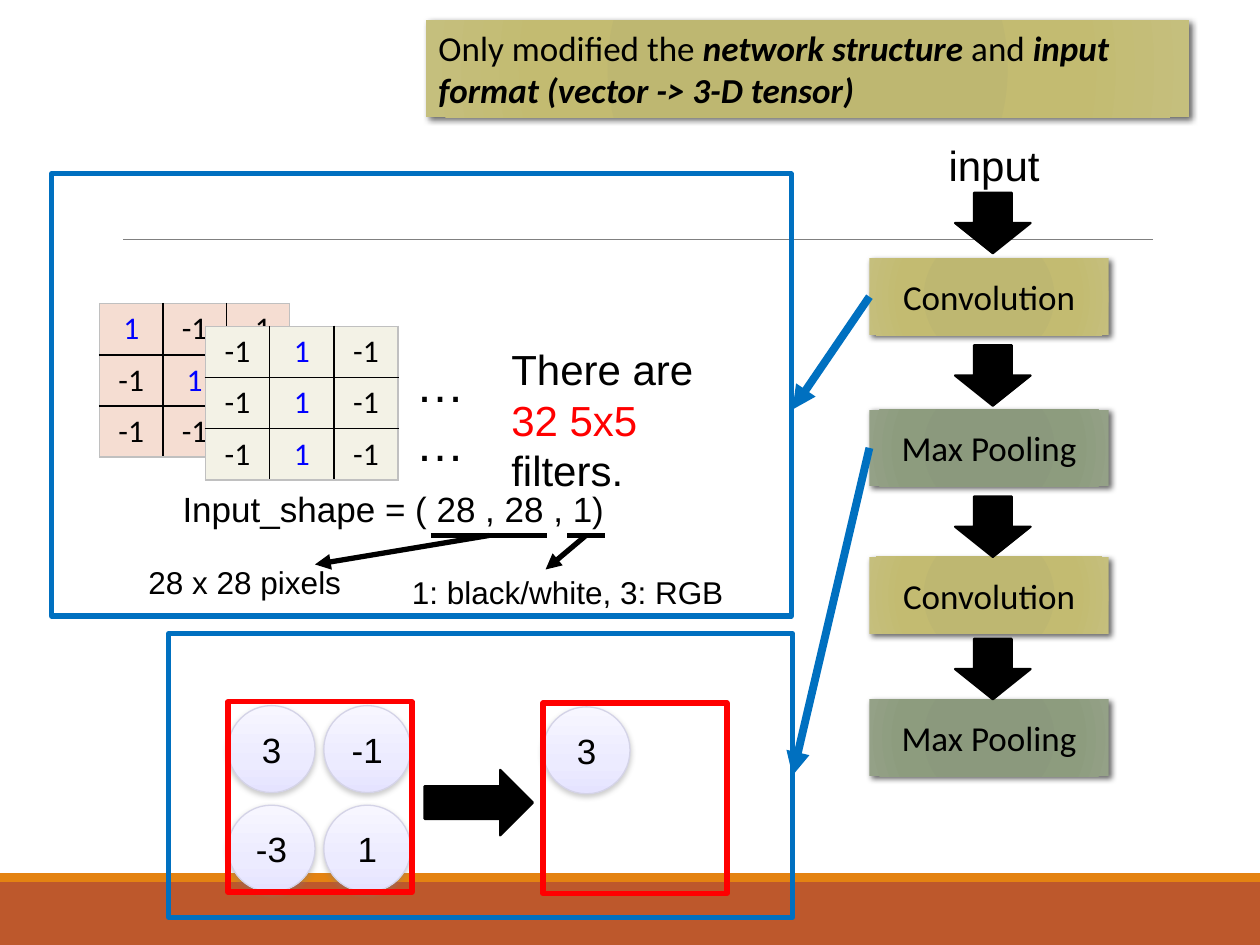
from dataclasses import dataclass
from lxml.etree import SubElement
from pptx import Presentation
from pptx.dml.color import RGBColor
from pptx.enum.shapes import MSO_CONNECTOR, MSO_SHAPE
from pptx.enum.text import MSO_ANCHOR, MSO_AUTO_SIZE, PP_ALIGN
from pptx.oxml.ns import qn
from pptx.util import Inches, Pt


@dataclass(frozen=True)
class Theme:
    black: str = "000000"
    blue: str = "0070C0"
    digit: str = "0000FF"
    red: str = "FF0000"
    rule: str = "808080"
    edge: str = "C0C0C0"
    band: str = "BD582C"
    stripe: str = "E48312"
    pink: str = "F5DDD2"
    cream: str = "F3F2E6"
    ball_edge: str = "D4D3E7"
    olive: tuple = ((0, "BEB76E"), (34, "BEB771"), (70, "C3BB71"), (100, "C5BF7D"))
    sage: tuple = ((0, "8A987B"), (34, "8B997D"), (70, "8D9C7E"), (100, "94A187"))
    lilac: tuple = ((0, "F7F6FF"), (65, "ECEBFF"), (100, "E5E3FF"))
    head: str = "Calibri"
    body: str = "Arial"
    small: int = 18
    mid: int = 20
    large: int = 24
    dots: int = 28


T = Theme()
COLS, ROWS = 100, 75
prs = Presentation()
prs.slide_width, prs.slide_height = Inches(10), Inches(7.5)
COL, ROW = prs.slide_width / COLS, prs.slide_height / ROWS


def grid(x, y, w, h):
    return int(x * COL), int(y * ROW), int(w * COL), int(h * ROW)


def child(parent, tag, **attrs):
    return SubElement(parent, qn(tag), {k: str(v) for k, v in attrs.items()})


def rgb(color):
    return RGBColor.from_string(color)


def write(tf, *runs, size=T.mid, font=T.body, align=PP_ALIGN.LEFT, anchor=MSO_ANCHOR.TOP):
    """Each run is a text or a (text, format) pair."""
    tf.word_wrap, tf.vertical_anchor = True, anchor
    p = tf.paragraphs[0]
    p.alignment = align
    for run in runs:
        text, fmt = (run, {}) if isinstance(run, str) else run
        r = p.add_run()
        r.text = text
        r.font.size, r.font.name = Pt(size), font
        r.font.bold = r.font.italic = fmt.get("strong", False)
        r.font.color.rgb = rgb(fmt.get("color", T.black))


def gradient(sp, stops, radial):
    sp.fill.background()
    pr = sp._element.spPr
    none = pr.find(qn("a:noFill"))
    fill = child(pr, "a:gradFill", rotWithShape=1)
    pr.replace(none, fill)
    gs_list = child(fill, "a:gsLst")
    for pos, color in stops:
        child(child(gs_list, "a:gs", pos=pos * 1000), "a:srgbClr", val=color)
    if radial:
        child(child(fill, "a:path", path="circle"), "a:fillToRect",
              l=100000, t=100000, r=100000, b=100000)
    else:
        child(fill, "a:lin", ang=5400000, scaled=0)


def shade(sp, color, alpha, blur, dist, angle):
    sp.shadow.inherit = False
    effects = sp._element.spPr.find(qn("a:effectLst"))
    shadow = child(effects, "a:outerShdw", blurRad=Pt(blur), dist=Pt(dist),
                   dir=angle * 60000, algn="ctr", rotWithShape=0)
    child(child(shadow, "a:srgbClr", val=color), "a:alpha", val=alpha * 1000)


def panel(sp, stops):
    gradient(sp, stops, radial=True)
    sp.line.fill.background()
    shade(sp, T.black, 60, 3.5, 2, 45)


def shape(s, kind, box, fill=None, line=None, width=1.25):
    sp = s.shapes.add_shape(kind, *grid(*box))
    sp.shadow.inherit = False
    for target, color in ((sp.fill, fill), (sp.line.fill, line)):
        if color:
            target.solid()
            target.fore_color.rgb = rgb(color)
        else:
            target.background()
    if line:
        sp.line.width = Pt(width)
    return sp


def label(s, box, *runs, **fmt):
    write(s.shapes.add_textbox(*grid(*box)).text_frame, *runs, **fmt)


def line(s, start, end, color=T.black, width=3, arrow=False):
    cn = s.shapes.add_connector(MSO_CONNECTOR.STRAIGHT, *grid(*start, *end))
    cn.line.color.rgb, cn.line.width = rgb(color), Pt(width)
    if arrow:
        child(cn.line._get_or_add_ln(), "a:tailEnd", type="triangle")
    child(cn._element.spPr, "a:effectLst")
    return cn


def backdrop(s):
    shape(s, MSO_SHAPE.RECTANGLE, (0, 70, COLS, 5), T.band)
    shape(s, MSO_SHAPE.RECTANGLE, (0, 69.3, COLS, 0.7), T.stripe)
    line(s, (9.8, 19), (91.5, 19), T.rule, 0.5)


def banner(s, box):
    title = s.shapes.title
    title.left, title.top, title.width, title.height = grid(*box)
    panel(title, T.olive)
    title.text_frame.auto_size = MSO_AUTO_SIZE.NONE
    write(title.text_frame, "Only modified the ", ("network structure ", {"strong": True}),
          "and ", ("input format (vector -> 3-D tensor)", {"strong": True}), font=T.head)


def layer_chain(s, x, y, w):
    label(s, (x - 1.3, y, 22.4, 5.1), "input", size=T.large, align=PP_ALIGN.CENTER)
    kinds = (("Convolution", T.olive), ("Max Pooling", T.sage)) * 2
    layers = []
    for (name, stops), arrow_y, top in zip(kinds, (4.7, 16.8, 28.8, 40.1), (9.9, 21.9, 33.6, 44.9)):
        sp = shape(s, MSO_SHAPE.RECTANGLE, (x, y + top, w, 6.1))
        panel(sp, stops)
        write(sp.text_frame, name, font=T.head, align=PP_ALIGN.CENTER, anchor=MSO_ANCHOR.MIDDLE)
        shape(s, MSO_SHAPE.DOWN_ARROW, (x + 6.8, y + arrow_y, 6, 4.8), T.black, T.black)
        layers.append(sp)
    return layers


def filter_table(s, box, rows, fill):
    n = len(rows)
    tbl = s.shapes.add_table(n, n, *grid(*box)).table
    tbl.first_row = tbl.horz_banding = False
    for i, row in enumerate(rows):
        for j, value in enumerate(row):
            cell = tbl.cell(i, j)
            write(cell.text_frame, (str(value), {"color": T.digit if value > 0 else T.black}),
                  size=T.small, font=T.head, align=PP_ALIGN.CENTER)
            pr = cell._tc.get_or_add_tcPr()
            outer = {"a:lnL": j == 0, "a:lnR": j == n - 1, "a:lnT": i == 0, "a:lnB": i == n - 1}
            for tag, is_outer in outer.items():
                ln = child(pr, tag, w=Pt(1))
                child(child(ln, "a:solidFill"), "a:srgbClr", val=T.edge if is_outer else T.black)
            cell.fill.solid()
            cell.fill.fore_color.rgb = rgb(fill)


def filter_panel(s, x, y, w, h):
    # Two overlapping filters
    diagonal = [[1 if i == j else -1 for j in range(3)] for i in range(3)]
    filter_table(s, (x + 3.8, y + 10.3, 15.1, 12.2), diagonal, T.pink)
    filter_table(s, (x + 12.2, y + 12.1, 15.3, 12.2), [[-1, 1, -1]] * 3, T.cream)
    label(s, (x + 35.5, y + 13, 19.7, 13.1), "There are ", ("32 5x5", {"color": T.red}),
          " filters.", size=T.large)
    label(s, (x + 27.9, y + 13.8, 7.6, 5.7), "……", size=T.dots)
    # Input shape and its explanation
    label(s, (x + 9.4, y + 24.4, 43.2, 4.4), "Input_shape = ( 28 , 28 , 1)")
    label(s, (x + 27.6, y + 31.2, 28.9, 4), "1: black/white, 3: RGB", size=T.small)
    label(s, (x + 6.7, y + 30.4, 22.1, 4), "28 x 28 pixels", size=T.small)
    base = y + 28.7
    for left, right, tip in ((40.9, 43.9, (39.2, 31.4)), (30.1, 39.3, (20.9, 31))):
        line(s, (x + left, base), (x + right, base))
        line(s, (x + (left + right) / 2, base), (x + tip[0], y + tip[1]), arrow=True)
    return shape(s, MSO_SHAPE.RECTANGLE, (x, y, w, h), line=T.blue, width=3)


def ball_box(s, x, y, rows):
    for i, row in enumerate(rows):
        for j, value in enumerate(row):
            sp = shape(s, MSO_SHAPE.OVAL, (x + 7.6 * j, y + 0.3 + 7.9 * i, 6.9, 6.9),
                       line=T.ball_edge, width=0.75)
            gradient(sp, T.lilac, radial=False)
            shade(sp, T.rule, 38, 3.1, 1.6, 90)
            write(sp.text_frame, value, align=PP_ALIGN.CENTER, anchor=MSO_ANCHOR.MIDDLE)
    shape(s, MSO_SHAPE.RECTANGLE, (x, y, 14.6, 15.1), line=T.red, width=3)


def pooling_panel(s, x, y, w, h):
    ball_box(s, x + 4.7, y + 5.4, (("3", "-1"), ("-3", "1")))
    ball_box(s, x + 29.7, y + 5.5, (("3",),))
    shape(s, MSO_SHAPE.RIGHT_ARROW, (x + 20.3, y + 10.8, 8.6, 5.2), T.black, T.black)
    return shape(s, MSO_SHAPE.RECTANGLE, (x, y, w, h), line=T.blue, width=3)


def main():
    s = prs.slides.add_slide(prs.slide_layouts[5])
    backdrop(s)
    banner(s, (33.8, 1.6, 60.6, 7.7))
    layers = layer_chain(s, 69, 10.6, 19)
    filter_panel(s, 4.1, 13.8, 58.7, 35.1)
    pooling = pooling_panel(s, 13.4, 50.3, 49.5, 22.5)
    # Callouts from the first two layers
    line(s, (69, 23.5), (62.9, 32.5), T.blue, 4.5, True).begin_connect(layers[0], 1)
    cn = line(s, (69, 35.6), (62.9, 61.5), T.blue, 4.5, True)
    cn.begin_connect(layers[1], 1)
    cn.end_connect(pooling, 3)
    prs.save("out.pptx")


if __name__ == "__main__":
    main()
